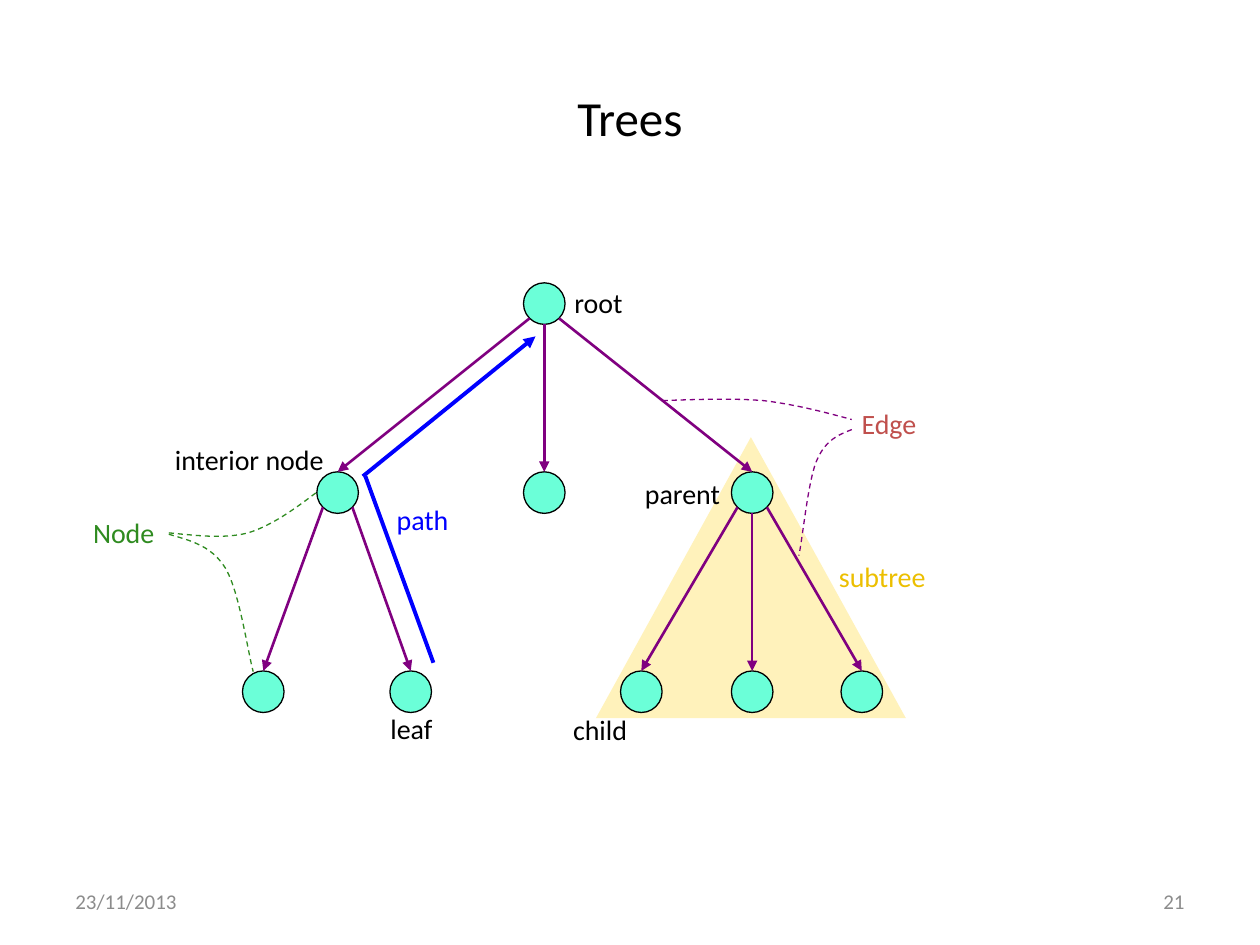
from lxml import etree
from pptx import Presentation
from pptx.dml.color import RGBColor
from pptx.enum import dml, shapes, text
from pptx.oxml import ns
from pptx.util import Inches, Pt

COLORS = {
    "black": "000000", "gray": "8C8C8C", "node": "6BFFD8", "edge": "800080",
    "subtree": "FFF2BB", "gold": "ECBF00", "green": "2F8B20",
    "red": "C0504D", "path": "0000FF",
}
DIAMETER = 0.33
RADIUS = DIAMETER / 2
DIAGONAL = RADIUS * 0.71
LEVELS = [2.41, 3.91, 5.49]
NODES = {
    "root": (4.32, 0),
    "interior": (2.68, 1), "middle": (4.32, 1), "parent": (5.97, 1),
    "first leaf": (2.09, 2), "second leaf": (3.26, 2),
    "left child": (5.09, 2), "middle child": (5.97, 2), "right child": (6.84, 2),
}
EDGES = {
    "root": ["interior", "middle", "parent"],
    "interior": ["first leaf", "second leaf"],
    "parent": ["left child", "middle child", "right child"],
}
LABELS = [
    ("subtree", 6.56, 4.39, 0.94, "gold"),
    ("Node", 0.64, 4.04, 0.73, "green"),
    ("Edge", 6.74, 3.18, 0.72, "red"),
    ("parent", 5.02, 3.73, 0.83, "black"),
    ("root", 4.46, 2.22, 0.59, "black"),
    ("leaf", 3, 5.6, 0.56, "black"),
    ("interior node", 1.29, 3.46, 1.44, "black"),
    ("child", 4.45, 5.61, 0.66, "black"),
    ("path", 3.05, 3.94, 0.63, "path"),
]
FRAMES = [
    ("Trees", (0.5, 0.3, 9, 1.25), 28, "black", text.PP_ALIGN.CENTER),
    ("23/11/2013", (0.5, 6.95, 2.33, 0.4), 12, "gray", text.PP_ALIGN.LEFT),
    ("21", (7.17, 6.95, 2.33, 0.4), 12, "gray", text.PP_ALIGN.RIGHT),
]
POINTERS = [
    ("green", [(1.34, 4.24), (1.51, 4.29), (1.68, 4.33), (1.79, 4.51),
               (1.9, 4.69), (1.97, 5.19), (2.01, 5.33)]),
    ("green", [(1.34, 4.23), (1.56, 4.25), (1.77, 4.28), (1.97, 4.23),
               (2.16, 4.17), (2.34, 4.04), (2.51, 3.91)]),
    ("edge", [(6.76, 3.41), (6.66, 3.45), (6.55, 3.49), (6.48, 3.66),
              (6.41, 3.83), (6.37, 4.28), (6.34, 4.41)]),
    ("edge", [(5.26, 3.18), (5.54, 3.17), (5.81, 3.16), (6.06, 3.18),
              (6.31, 3.21), (6.54, 3.27), (6.76, 3.33)]),
]
CURVE_STEPS = 12


def color(name):
    return RGBColor.from_string(COLORS[name])


def add_text(slide, words, box, size, color_name, align=text.PP_ALIGN.LEFT,
             anchor=text.MSO_ANCHOR.TOP, wrap=False):
    frame = slide.shapes.add_textbox(*map(Inches, box)).text_frame
    frame.word_wrap = wrap
    frame.vertical_anchor = anchor
    paragraph = frame.paragraphs[0]
    paragraph.text = words
    paragraph.alignment = align
    paragraph.font.name = "Calibri"
    paragraph.font.size = Pt(size)
    paragraph.font.color.rgb = color(color_name)


def add_shape(slide, kind, box, fill_name):
    shape = slide.shapes.add_shape(kind, *map(Inches, box))
    shape.shadow.inherit = False
    shape.fill.solid()
    shape.fill.fore_color.rgb = color(fill_name)
    shape.line.fill.background()
    return shape


def add_line(slide, start, end, color_name, width, arrow=True):
    line = slide.shapes.add_connector(
        shapes.MSO_CONNECTOR.STRAIGHT, *map(Inches, (*start, *end)))
    line.line.color.rgb = color(color_name)
    line.line.width = Pt(width)
    if arrow:
        etree.SubElement(line.line._get_or_add_ln(), ns.qn("a:tailEnd"), type="triangle")
    etree.SubElement(line._element.spPr, ns.qn("a:effectLst"))


def curve_points(controls):
    points = [controls[0]]
    for first in range(0, len(controls) - 1, 3):
        segment = controls[first:first + 4]
        for step in range(1, CURVE_STEPS + 1):
            t = step / CURVE_STEPS
            weights = ((1 - t) ** 3, 3 * t * (1 - t) ** 2, 3 * t ** 2 * (1 - t), t ** 3)
            points.append(tuple(sum(w * p[axis] for w, p in zip(weights, segment))
                                for axis in (0, 1)))
    return points


def add_pointer(slide, color_name, controls):
    start, *rest = [(Inches(x), Inches(y)) for x, y in curve_points(controls)]
    builder = slide.shapes.build_freeform(*start)
    builder.add_line_segments(rest, close=False)
    pointer = builder.convert_to_shape()
    pointer.shadow.inherit = False
    pointer.fill.background()
    pointer.line.color.rgb = color(color_name)
    pointer.line.width = Pt(0.75)
    pointer.line.dash_style = dml.MSO_LINE.DASH


def main():
    presentation = Presentation()
    presentation.slide_width, presentation.slide_height = Inches(10), Inches(7.5)
    slide = presentation.slides.add_slide(presentation.slide_layouts[6])

    for words, box, size, color_name, align in FRAMES:
        add_text(slide, words, box, size, color_name, align, text.MSO_ANCHOR.MIDDLE, True)

    add_shape(slide, shapes.MSO_SHAPE.ISOSCELES_TRIANGLE, (4.73, 3.47, 2.46, 2.23), "subtree")
    for x, level in NODES.values():
        box = (x - RADIUS, LEVELS[level] - RADIUS, DIAMETER, DIAMETER)
        node = add_shape(slide, shapes.MSO_SHAPE.OVAL, box, "node")
        node.line.color.rgb = color("black")
        node.line.width = Pt(0.75)

    for parent, children in EDGES.items():
        x, level = NODES[parent]
        for child in children:
            child_x, child_level = NODES[child]
            side = (child_x > x) - (child_x < x)
            drop = DIAGONAL if side else RADIUS
            add_line(slide, (x + side * DIAGONAL, LEVELS[level] + drop),
                     (child_x, LEVELS[child_level] - RADIUS), "edge", 1.5)

    for color_name, controls in POINTERS:
        add_pointer(slide, color_name, controls)
    add_line(slide, (3.44, 5.26), (2.9, 3.78), "path", 2.25, arrow=False)
    add_line(slide, (2.88, 3.78), (4.25, 2.67), "path", 2.25)

    for words, left, top, width, color_name in LABELS:
        add_text(slide, words, (left, top, width, 0.37), 16, color_name)

    presentation.save("out.pptx")


if __name__ == "__main__":
    main()
